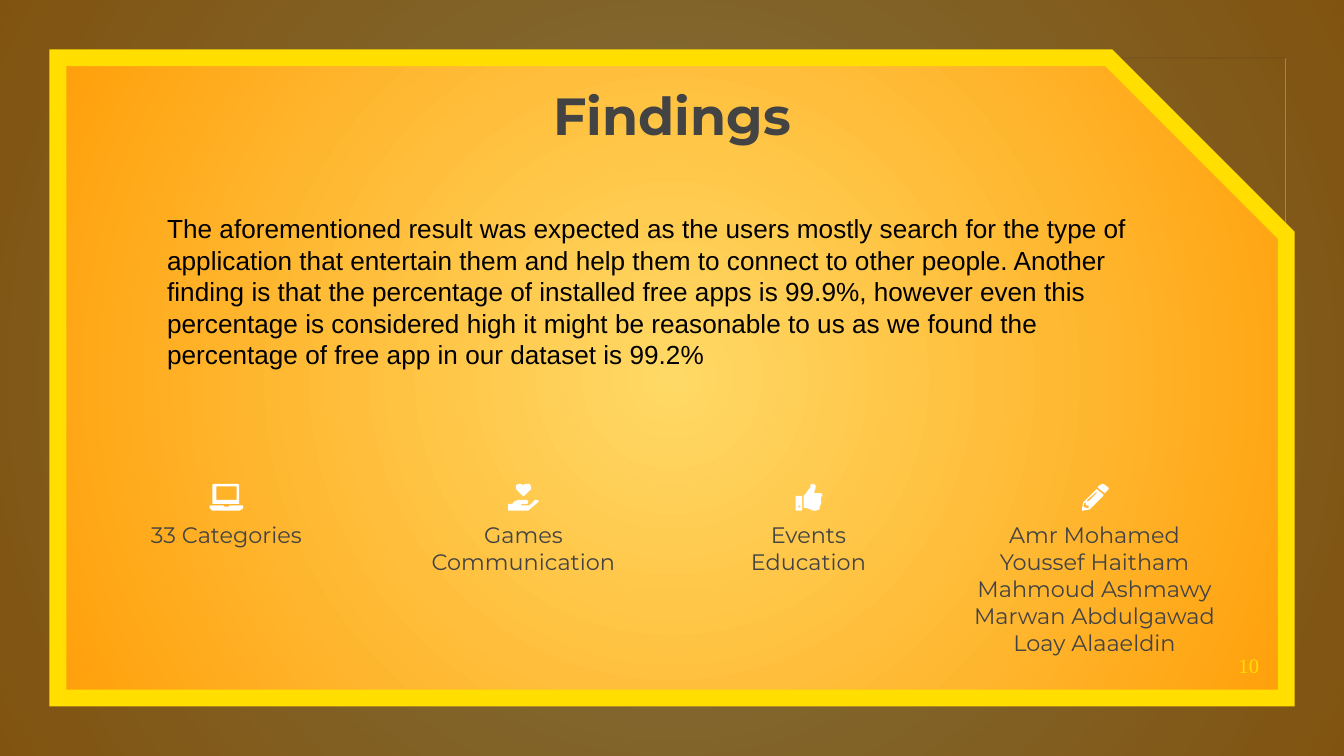
"""Build the Findings slide with a snipped frame, a paragraph and four icon columns."""
from dataclasses import dataclass

from lxml import etree
from pptx import Presentation
from pptx import util as u
from pptx.dml.color import RGBColor
from pptx.enum import shapes, text
from pptx.oxml import ns

Pt = u.Pt
Outline = list[tuple[int, int]]

AMBER = RGBColor(0xFF, 0xD9, 0x66)
ORANGE = RGBColor(0xFF, 0x99, 0x00)
NAVY = RGBColor(0x04, 0x0F, 0x20)
YELLOW = RGBColor(0xFF, 0xDE, 0x00)
GREY = RGBColor(0x43, 0x43, 0x43)
BLACK = RGBColor(0x00, 0x00, 0x00)
WHITE = RGBColor(0xFF, 0xFF, 0xFF)

ICON_UNIT = Pt(0.72)
ICON_TOP = Pt(259.2)
LABEL_TOP = Pt(279.4)
LABEL_WIDTH = Pt(133.2)

LAPTOP = [
    [(20, 2), (20, 12), (5, 12), (5, 2)],
    [(3, 0), (2, 1), (2, 15), (22, 15), (22, 1), (21, 0)],
    [(0, 16), (0, 18), (1, 19), (2, 20), (22, 20), (24, 19), (25, 18), (25, 16),
     (15, 16), (14, 17), (11, 17), (10, 16)],
]
HEART_IN_HAND = [
    [(8, 0), (6, 1), (6, 4), (7, 5), (11, 9), (12, 9), (16, 5), (17, 4), (17, 2),
     (16, 0), (13, 0), (11, 1), (10, 0)],
    [(8, 12), (5, 13), (3, 15), (0, 15), (0, 20), (15, 20), (16, 19), (22, 14),
     (23, 13), (22, 12), (20, 12), (17, 15), (16, 16), (10, 16), (10, 15),
     (14, 15), (15, 14), (15, 13), (14, 12)],
]
THUMB_UP = [
    [(3, 16), (4, 17), (3, 18), (2, 17)],
    [(0, 9), (0, 20), (5, 20), (5, 9)],
    [(12, 0), (11, 1), (11, 3), (10, 4), (7, 8), (6, 9), (6, 18), (8, 18),
     (11, 19), (13, 20), (15, 20), (18, 19), (18, 17), (19, 15), (19, 10),
     (20, 9), (20, 8), (19, 7), (14, 7), (14, 6), (15, 3), (15, 1), (13, 0)],
]
PENCIL = [
    [(15, 0), (12, 2), (12, 3), (17, 7), (20, 4), (20, 3), (16, 0)],
    [(11, 6), (11, 7), (5, 13), (4, 13), (4, 12)],
    [(3, 14), (3, 16), (5, 16), (5, 18), (3, 18), (1, 17), (2, 14)],
    [(11, 4), (1, 14), (0, 19), (0, 20), (1, 20), (6, 19), (16, 9), (16, 8)],
]


@dataclass(frozen=True)
class Box:
    """Place and size of an element."""
    left: int
    top: int
    width: int
    height: int


@dataclass(frozen=True)
class Style:
    """Look of a text box."""
    size: int
    color: RGBColor
    font: str = "Montserrat"
    bold: bool = False
    alignment: text.PP_ALIGN = text.PP_ALIGN.CENTER
    inset: tuple[int, int] = (0, 0)


@dataclass(frozen=True)
class Column:
    """An icon above its label lines."""
    label_left: int
    icon_left: int
    icon: list[Outline]
    lines: list[str]


COLUMNS = [
    Column(Pt(54.7), Pt(112.3), LAPTOP, ["33 Categories"]),
    Column(Pt(213.8), Pt(272.2), HEART_IN_HAND, ["Games Communication"]),
    Column(Pt(366.5), Pt(426.2), THUMB_UP, ["Events", "Education"]),
    Column(Pt(519.8), Pt(579.6), PENCIL, [
        "Amr Mohamed", "Youssef Haitham", "Mahmoud Ashmawy",
        "Marwan Abdulgawad", "Loay Alaaeldin"]),
]
FINDING = (
    "The aforementioned result was expected as the users mostly search for the type "
    "of application that entertain them and help them to connect to other people. "
    "Another finding is that the percentage of installed free apps is 99.9%, however "
    "even this percentage is considered high it might be reasonable to us as we found "
    "the percentage of free app in our dataset is 99.2%"
)


def paint_background(slide) -> None:
    """Fill the background with a circular gradient from the centre."""
    fill = slide.background.fill
    fill.gradient()
    for stop, color, position in zip(fill.gradient_stops, (AMBER, ORANGE), (0, 1)):
        stop.color.rgb = color
        stop.position = position
    gradient = slide.background._cSld.find(".//" + ns.qn("a:gradFill"))
    gradient.remove(gradient.find(ns.qn("a:lin")))
    circle = etree.SubElement(gradient, ns.qn("a:path"), path="circle")
    etree.SubElement(circle, ns.qn("a:fillToRect"),
                     l="50000", t="50000", r="50000", b="50000")


def add_preset(slide, kind: shapes.MSO_SHAPE, box: Box, adjustment: float | None = None):
    """Add a preset shape without shadow, fill or line."""
    shape = slide.shapes.add_shape(kind, box.left, box.top, box.width, box.height)
    shape.shadow.inherit = False
    shape.fill.background()
    shape.line.fill.background()
    if adjustment is not None:
        shape.adjustments[0] = adjustment
    return shape


def shade(shape) -> None:
    """Fill a shape with half-transparent navy."""
    shape.fill.solid()
    shape.fill.fore_color.rgb = NAVY
    color = shape._element.spPr.find(".//" + ns.qn("a:srgbClr"))
    etree.SubElement(color, ns.qn("a:alpha"), val="50000")


def add_text(slide, box: Box, lines: list[str], style: Style) -> None:
    """Add a wrapped text box with one paragraph per line."""
    frame = slide.shapes.add_textbox(box.left, box.top, box.width, box.height).text_frame
    frame.word_wrap = True
    frame.margin_left = frame.margin_right = style.inset[0]
    frame.margin_top = frame.margin_bottom = style.inset[1]
    frame.text = "\n".join(lines)
    for paragraph in frame.paragraphs:
        paragraph.alignment = style.alignment
        paragraph.font.name = style.font
        paragraph.font.size = Pt(style.size)
        paragraph.font.bold = style.bold
        paragraph.font.color.rgb = style.color


def add_icon(slide, left: int, outlines: list[Outline]) -> None:
    """Add a white icon made of closed outlines."""
    first, *others = outlines
    builder = slide.shapes.build_freeform(*first[0], scale=ICON_UNIT)
    builder.add_line_segments(first[1:])
    for outline in others:
        builder.move_to(*outline[0])
        builder.add_line_segments(outline[1:])
    shape = builder.convert_to_shape(left, ICON_TOP)
    shape.shadow.inherit = False
    shape.fill.solid()
    shape.fill.fore_color.rgb = WHITE
    shape.line.fill.background()


def add_frame(slide, width: int, height: int) -> None:
    """Add the shaded border, its corner and the yellow snipped outline."""
    corner = add_preset(slide, shapes.MSO_SHAPE.RIGHT_TRIANGLE,
                        Box(Pt(593.5), Pt(31), Pt(95), Pt(95)))
    corner.rotation = 180
    shade(corner)
    shade(add_preset(slide, shapes.MSO_SHAPE.FRAME, Box(0, 0, width, height), 0.077))
    panel = add_preset(slide, shapes.MSO_SHAPE.SNIP_1_RECTANGLE,
                       Box(Pt(31), Pt(31), Pt(658), Pt(343)), 0.277)
    panel.line.color.rgb = YELLOW
    panel.line.width = Pt(9)
    etree.SubElement(panel._element.spPr.find(ns.qn("a:ln")), ns.qn("a:miter"), lim="800000")


def main() -> None:
    """Build and save the presentation."""
    presentation = Presentation()
    presentation.slide_width, presentation.slide_height = Pt(720), Pt(405)
    slide = presentation.slides.add_slide(presentation.slide_layouts[6])
    paint_background(slide)
    add_frame(slide, presentation.slide_width, presentation.slide_height)
    add_text(slide, Box(Pt(267), Pt(44.6), Pt(186), Pt(40)), ["Findings"],
             Style(28, GREY, bold=True))
    for column in COLUMNS:
        height = Pt(max(50, 14.6 * len(column.lines)))
        add_text(slide, Box(column.label_left, LABEL_TOP, LABEL_WIDTH, height),
                 column.lines, Style(12, GREY))
        add_icon(slide, column.icon_left, column.icon)
    add_text(slide, Box(Pt(82.5), Pt(110.5), Pt(529.5), Pt(92)), [FINDING],
             Style(14, BLACK, "Arial", alignment=text.PP_ALIGN.LEFT, inset=(Pt(7.2), Pt(3.6))))
    add_text(slide, Box(Pt(654), Pt(350), Pt(30), Pt(14)), ["10"],
             Style(11, YELLOW, "Times New Roman"))
    presentation.save("out.pptx")


if __name__ == "__main__":
    main()
